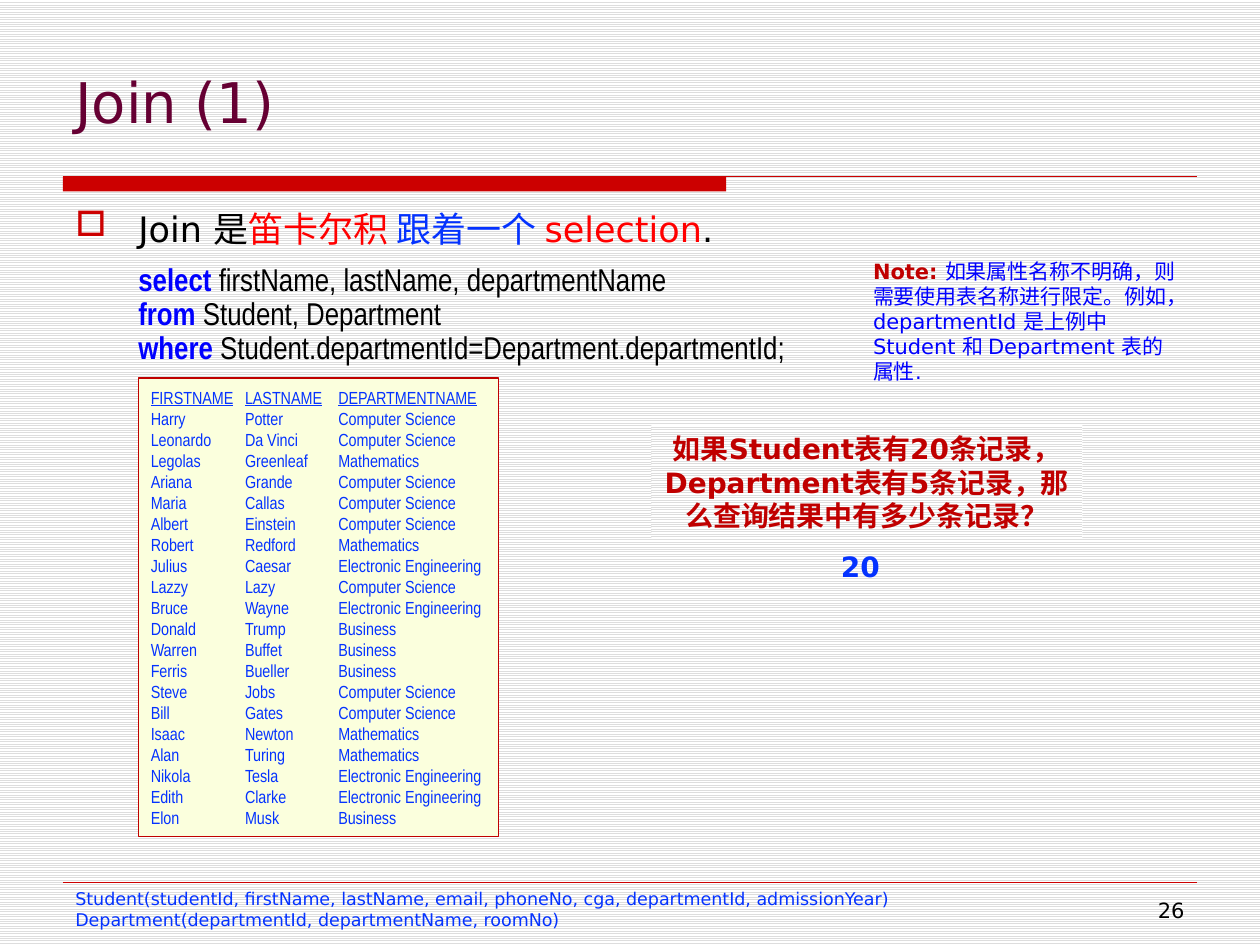
from dataclasses import dataclass

from lxml import etree
from pptx import Presentation
from pptx import util as u
from pptx.dml.color import RGBColor
from pptx.enum import dml, shapes, text
from pptx.oxml.ns import qn


@dataclass(frozen=True)
class Theme:
    sans: str = "DejaVu Sans"
    narrow: str = "Arial Narrow"
    black: str = "000000"
    title: str = "660033"
    bar: str = "CC0000"
    dark_red: str = "C00000"
    red: str = "FF0000"
    blue: str = "0432FF"
    keyword: str = "0000FF"
    cream: str = "FBFFDD"
    stripe: str = "DDDDDD"
    paper: str = "FFFFFF"
    title_size: int = 32
    body_size: int = 20
    code_size: int = 18
    callout_size: int = 16
    note_size: int = 12
    small_size: int = 10


def rgb(value):
    return RGBColor.from_string(value)


class SlideBuilder:
    def __init__(self, slide, theme):
        self.s = slide
        self.theme = theme

    def stripes(self, fill):
        fill.patterned()
        fill.pattern = dml.MSO_PATTERN.LIGHT_HORIZONTAL
        fill.fore_color.rgb = rgb(self.theme.stripe)
        fill.back_color.rgb = rgb(self.theme.paper)

    def line(self, x1, y, x2, width):
        c = self.s.shapes.add_connector(
            shapes.MSO_CONNECTOR.STRAIGHT, u.Cm(x1), u.Cm(y), u.Cm(x2), u.Cm(y))
        c.line.color.rgb = rgb(self.theme.bar)
        c.line.width = u.Pt(width)
        etree.SubElement(c._element.spPr, qn("a:effectLst"))

    def rect(self, box, fill=None, border=None):
        """Rectangle; striped like the background when no fill is given."""
        sp = self.s.shapes.add_shape(shapes.MSO_SHAPE.RECTANGLE, *map(u.Cm, box))
        sp.shadow.inherit = False
        if fill:
            sp.fill.solid()
            sp.fill.fore_color.rgb = rgb(fill)
        else:
            self.stripes(sp.fill)
        if border:
            sp.line.color.rgb = rgb(border)
            sp.line.width = u.Pt(0.75)
        else:
            sp.line.fill.background()
        return sp

    def textbox(self, box, middle=False):
        sp = self.s.shapes.add_textbox(*map(u.Cm, box))
        if middle:
            sp.text_frame.vertical_anchor = text.MSO_ANCHOR.MIDDLE
        return sp

    def add_text(self, sp, paragraphs, size, font=None, align=text.PP_ALIGN.LEFT):
        """Each paragraph is a list of (words, colour, bold) runs."""
        tf = sp.text_frame
        tf.word_wrap = True
        for i, runs in enumerate(paragraphs):
            p = tf.paragraphs[0] if i == 0 else tf.add_paragraph()
            p.alignment = align
            for words, colour, bold in runs:
                r = p.add_run()
                r.text = words
                r.font.name = font or self.theme.sans
                r.font.size = u.Pt(size)
                r.font.color.rgb = rgb(colour)
                r.font.bold = bold
        return tf

    def indent(self, p, margin, first=0, bullet=None):
        pPr = p._p.get_or_add_pPr()
        pPr.set("marL", str(u.Cm(margin)))
        pPr.set("indent", str(u.Cm(first)))
        if bullet:
            colour = etree.SubElement(pPr, qn("a:buClr"))
            etree.SubElement(colour, qn("a:srgbClr"), val=self.theme.bar)
            etree.SubElement(pPr, qn("a:buChar"), char=bullet)

    def tabs(self, p, stops):
        tab_list = etree.SubElement(p._p.get_or_add_pPr(), qn("a:tabLst"))
        for stop in stops:
            etree.SubElement(tab_list, qn("a:tab"), pos=str(u.Cm(stop)), algn="l")


CS, MATH, EE, BUS = ("Computer Science", "Mathematics",
                     "Electronic Engineering", "Business")
RESULT = [
    ("FIRSTNAME", "LASTNAME", "DEPARTMENTNAME"),
    ("Harry", "Potter", CS), ("Leonardo", "Da Vinci", CS),
    ("Legolas", "Greenleaf", MATH), ("Ariana", "Grande", CS),
    ("Maria", "Callas", CS), ("Albert", "Einstein", CS),
    ("Robert", "Redford", MATH), ("Julius", "Caesar", EE),
    ("Lazzy", "Lazy", CS), ("Bruce", "Wayne", EE),
    ("Donald", "Trump", BUS), ("Warren", "Buffet", BUS),
    ("Ferris", "Bueller", BUS), ("Steve", "Jobs", CS),
    ("Bill", "Gates", CS), ("Isaac", "Newton", MATH),
    ("Alan", "Turing", MATH), ("Nikola", "Tesla", EE),
    ("Edith", "Clarke", EE), ("Elon", "Musk", BUS),
]
QUERY = [
    ("select ", "firstName, lastName, departmentName"),
    ("from ", "Student, Department"),
    ("where ", "Student.departmentId=Department.departmentId;"),
]
SCHEMA = [
    "Student(studentId, firstName, lastName, email, phoneNo, cga, departmentId, admissionYear)",
    "Department(departmentId, departmentName, roomNo)",
]
LEFT, RIGHT = 1.27, 24.13


def main():
    prs = Presentation()
    prs.slide_width, prs.slide_height = u.Cm(25.4), u.Cm(19.05)
    t = Theme()
    b = SlideBuilder(prs.slides.add_slide(prs.slide_layouts[6]), t)
    b.stripes(b.s.background.fill)

    b.rect((LEFT, 3.56, 13.37, 0.3), t.bar)
    b.line(LEFT, 3.56, RIGHT, 0.75)
    b.line(LEFT, 17.78, RIGHT, 0.25)

    b.add_text(b.textbox((14.17, 10.95, 6.35, 0.94)), [[("20", t.blue, True)]],
               t.callout_size, align=text.PP_ALIGN.CENTER)
    b.add_text(b.textbox((LEFT, 0.76, 22.86, 2.54), middle=True),
               [[("Join (1)", t.title, False)]], t.title_size)

    heading = [("Join 是", t.black, False), ("笛卡尔积 ", t.red, False),
               ("跟着一个 ", t.blue, False), ("selection", t.red, False),
               (".", t.black, False)]
    query = [[(word, t.keyword, True), (rest, t.black, False)] for word, rest in QUERY]
    tf = b.add_text(b.textbox((LEFT, 4.06, 22.86, 3.48)), [heading] + query, t.code_size)
    first, *code = tf.paragraphs
    b.indent(first, 1.27, -1.27, "□")
    for r in first.runs:
        r.font.size = u.Pt(t.body_size)
    for i, p in enumerate(code):
        b.indent(p, 1.27)
        if i == 0:
            p.space_before = u.Pt(6)
        else:
            p.line_spacing = 0.9
        for r in p.runs:
            r.font.name = t.narrow

    b.add_text(b.textbox((18.62, 18.03, 5.51, 0.64), middle=True),
               [[("26", t.black, False)]], t.note_size, align=text.PP_ALIGN.RIGHT)
    b.add_text(b.textbox((17.35, 5.08, 6.78, 2.82)),
               [[("Note: ", t.dark_red, True),
                 ("如果属性名称不明确，则需要使用表名称进行限定。例如，departmentId 是上例中 "
                  "Student 和 Department 表的属性.", t.keyword, False)]], t.note_size)

    result = b.rect((2.79, 7.62, 7.26, 9.25), t.cream, t.dark_red)
    tf = b.add_text(result, [[("\t".join(row), t.blue, False)] for row in RESULT],
                    t.small_size, t.narrow)
    tf.margin_right = 0
    for p in tf.paragraphs:
        b.tabs(p, (1.9, 3.78))
    tf.paragraphs[0].runs[0].font.underline = True

    b.add_text(b.rect((13.13, 8.56, 8.69, 2.31)),
               [[("如果Student表有20条记录，Department表有5条记录，那么查询结果中有多少条记录？",
                  t.dark_red, True)]], t.callout_size, align=text.PP_ALIGN.CENTER)
    b.add_text(b.textbox((LEFT, 17.78, 17.45, 1.12)),
               [[(row, t.blue, False)] for row in SCHEMA], t.small_size)

    prs.save("out.pptx")


if __name__ == "__main__":
    main()
